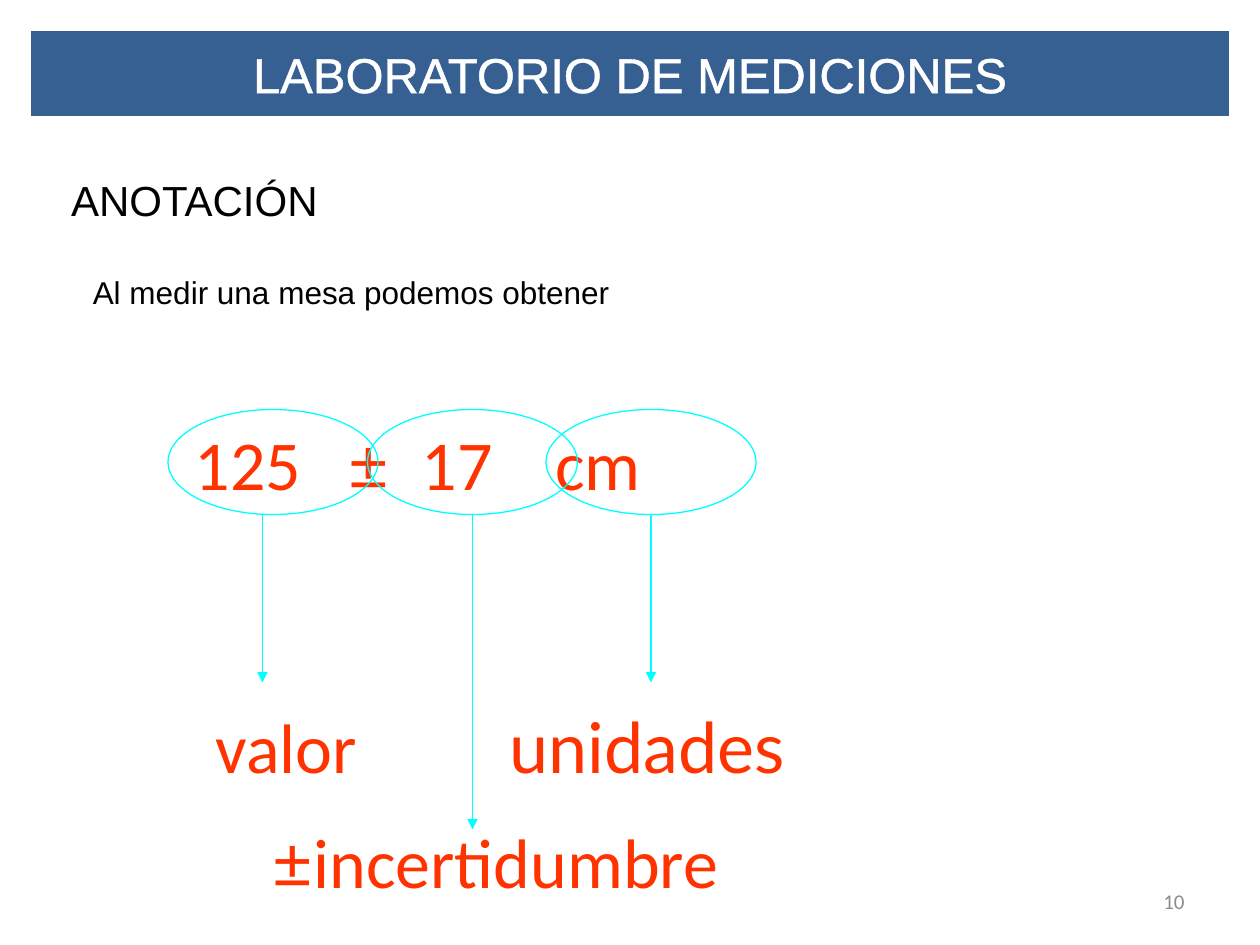
from lxml import etree
from pptx import Presentation
from pptx.dml.color import RGBColor
from pptx.enum.shapes import MSO_CONNECTOR, MSO_SHAPE
from pptx.enum.text import MSO_ANCHOR, PP_ALIGN
from pptx.oxml.ns import qn
from pptx.util import Inches, Pt

OVAL, LINE = MSO_SHAPE.OVAL, MSO_CONNECTOR.STRAIGHT
MIDDLE, TOP = MSO_ANCHOR.MIDDLE, MSO_ANCHOR.TOP
LEFT, CENTER, RIGHT = PP_ALIGN.LEFT, PP_ALIGN.CENTER, PP_ALIGN.RIGHT
BLUE = RGBColor(0x37, 0x60, 0x92)
WHITE = RGBColor(0xFF, 0xFF, 0xFF)
BLACK = RGBColor(0, 0, 0)
GRAY = RGBColor(0x8C, 0x8C, 0x8C)
CYAN = RGBColor(0, 0xFF, 0xFF)
RED = RGBColor(0xFF, 0x33, 0)

deck = Presentation()
deck.slide_width, deck.slide_height = Inches(10), Inches(7.5)
slide = deck.slides.add_slide(deck.slide_layouts[5])
shapes = slide.shapes
unit = deck.slide_width / 120  # grid of 120 columns by 90 rows


def span(*cells):
    return [round(cell * unit) for cell in cells]


def write(cells, parts, size, color, inset=None, align=LEFT, anchor=TOP):
    """Add a text box; parts are (text, font) pairs, inset is in inches."""
    frame = shapes.add_textbox(*span(*cells)).text_frame
    frame.word_wrap = True
    frame.vertical_anchor = anchor
    if inset is not None:
        frame.margin_left = Inches(inset)
        frame.margin_right = frame.margin_top = frame.margin_bottom = 0
    line = frame.paragraphs[0]
    line.alignment = align
    for text, face in parts:
        run = line.add_run()
        run.text = text
        run.font.name = face
        run.font.size = Pt(size)
        run.font.color.rgb = color
    return line


# Title bar
title = shapes.title
title.left, title.top, title.width, title.height = span(2.8, 2.8, 114.4, 8.4)
title.fill.solid()
title.fill.fore_color.rgb = BLUE
title.line.color.rgb = WHITE
title.line.width = Pt(2)
title.text_frame.text = "LABORATORIO DE MEDICIONES"
title.text_frame.vertical_anchor = MIDDLE
head = title.text_frame.paragraphs[0]
head.alignment = CENTER
font = head.runs[0].font
font.name, font.size = "Arial", Pt(28)
font.color.rgb = WHITE
edge = etree.Element(qn("a:ln"), w=str(Pt(1.45)))
fill = etree.SubElement(edge, qn("a:solidFill"))
etree.SubElement(fill, qn("a:srgbClr"), val=str(WHITE))
head.runs[0]._r.get_or_add_rPr().insert(0, edge)

# Heading, lead-in and slide number
write((5.6, 16, 29, 6), [("ANOTACIÓN", "Arial")], 24, BLACK)
write((8, 26, 78, 3.6), [("Al medir una mesa podemos obtener", "Arial")],
      18, BLACK, 0.07)
write((86, 83.4, 28, 4.8), [("10", "Calibri")], 12, GRAY,
      align=RIGHT, anchor=MIDDLE)

# Measurement, spaced by tab stops
value = write((17, 40, 59, 8),
              [("125\t", "Calibri"), ("±", "Lato"), ("\t17\tcm", "Calibri")],
              40, RED, 0.13)
tabs = etree.SubElement(value._p.get_or_add_pPr(), qn("a:tabLst"))
for stop in (1.22, 1.8, 2.86):
    etree.SubElement(tabs, qn("a:tab"), pos=str(Inches(stop)), algn="l")

# Labels of the three parts
labels = [
    ((19, 67, 19, 8), [("valor", "Calibri")], 0.13),
    ((20, 78, 59, 8), [("±", "Lato"), ("incertidumbre", "Calibri")], 0.5),
    ((46, 67, 33, 8), [("unidades", "Lato")], 0.21),
]
for cells, parts, inset in labels:
    write(cells, parts, 40, RED, inset)

# Rings and arrows: ring column, arrow column, arrow end row
for col, stem, end in ((16, 25, 65), (35, 45, 79), (52, 62, 65)):
    ring = shapes.add_shape(OVAL, *span(col, 39, 20, 10))
    ring.shadow.inherit = False
    ring.fill.background()
    arrow = shapes.add_connector(LINE, *span(stem, 49, stem, end))
    for item in (ring, arrow):
        item.line.color.rgb = CYAN
        item.line.width = Pt(0.75)
    etree.SubElement(arrow.line._get_or_add_ln(), qn("a:tailEnd"),
                     type="triangle")
    etree.SubElement(arrow._element.spPr, qn("a:effectLst"))

deck.save("out.pptx")
